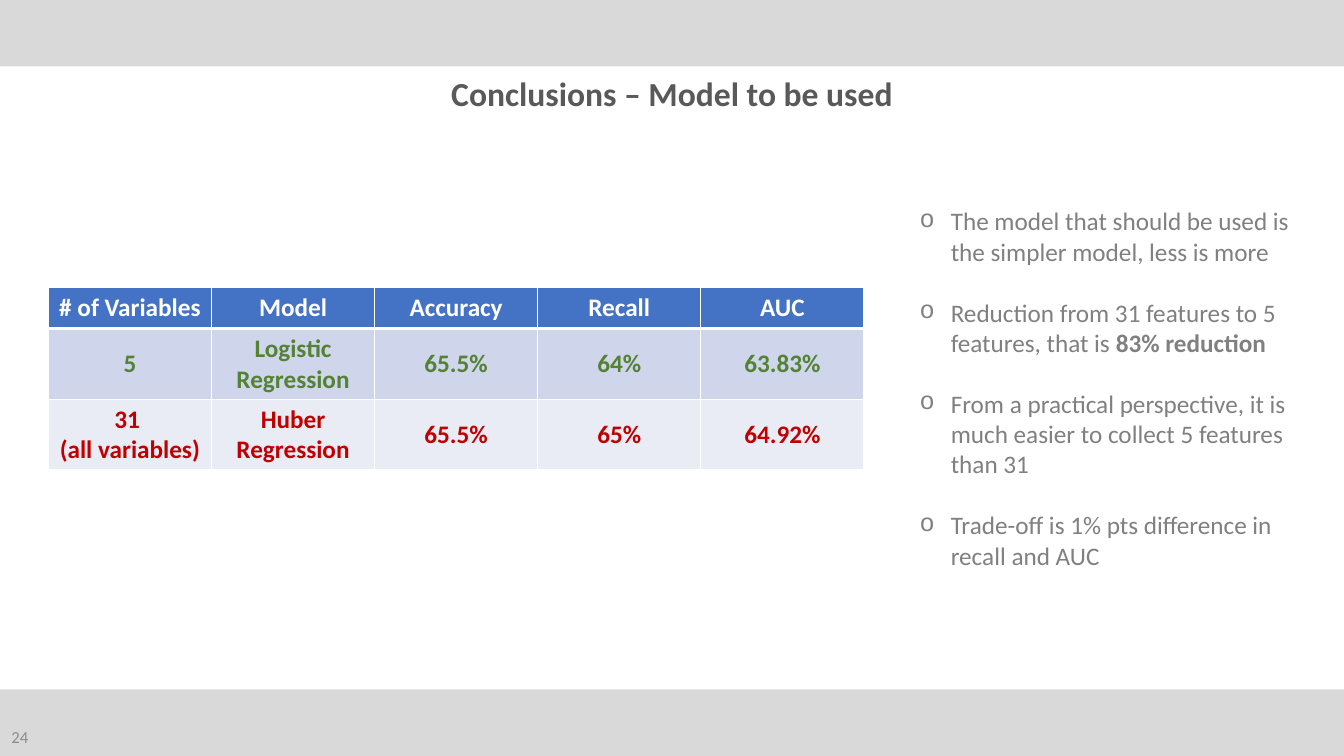
from lxml import etree
from pptx import Presentation
from pptx.dml.color import RGBColor
from pptx.enum.shapes import MSO_SHAPE
from pptx.enum.text import MSO_ANCHOR, MSO_AUTO_SIZE, PP_ALIGN
from pptx.oxml.ns import qn
from pptx.util import Inches, Pt

RECTANGLE = MSO_SHAPE.RECTANGLE
TOP, MIDDLE = MSO_ANCHOR.TOP, MSO_ANCHOR.MIDDLE
LEFT, CENTER, RIGHT = PP_ALIGN.LEFT, PP_ALIGN.CENTER, PP_ALIGN.RIGHT
NO_AUTOFIT = MSO_AUTO_SIZE.NONE

WIDTH, HEIGHT, BAND_HEIGHT = 13.33, 7.5, 0.66
FONT = "Calibri"
WHITE = "FFFFFF"

# Each row: text colour, fill, height, bottom border in points, cells
RESULTS = [
    (WHITE, "4472C4", 0.41, 3,
     ["# of Variables", "Model", "Accuracy", "Recall", "AUC"]),
    ("548235", "CFD5EA", 0.7, 1,
     ["5", "Logistic Regression", "65.5%", "64%", "63.83%"]),
    ("C00000", "E9EBF5", 0.7, 1,
     ["31 \n(all variables)", "Huber Regression", "65.5%", "65%", "64.92%"]),
]

# Each point: plain text, bold ending
POINTS = [
    ("The model that should be used is the simpler model, less is more", ""),
    ("Reduction from 31 features to 5 features, that is ", "83% reduction"),
    ("From a practical perspective, it is much easier to collect 5 features than 31", ""),
    ("Trade-off is 1% pts difference in recall and AUC", ""),
]


def color(hex_string):
    return RGBColor.from_string(hex_string)


def place(shape, box):
    shape.left, shape.top, shape.width, shape.height = map(Inches, box)


def format_paragraph(paragraph, size, hex_string, align, bold=False):
    paragraph.alignment = align
    font = paragraph.font
    font.name, font.size, font.bold = FONT, Pt(size), bold
    font.color.rgb = color(hex_string)


def add_band(slide, box):
    band = slide.shapes.add_shape(RECTANGLE, *map(Inches, box))
    band.shadow.inherit = False
    band.fill.solid()
    band.fill.fore_color.rgb = color("D9D9D9")
    band.line.fill.background()


def set_title(slide, box):
    title = slide.shapes.title
    place(title, box)
    frame = title.text_frame
    frame.text = "Conclusions – Model to be used"
    frame.vertical_anchor = TOP
    frame.auto_size = NO_AUTOFIT
    format_paragraph(frame.paragraphs[0], 24, "595959", CENTER, True)


def add_page_number(slide, box):
    frame = slide.shapes.add_textbox(*map(Inches, box)).text_frame
    frame.word_wrap = True
    frame.vertical_anchor = MIDDLE
    frame.text = "24"
    format_paragraph(frame.paragraphs[0], 12, "8C8C8C", RIGHT)


def set_borders(cell, bottom_width):
    properties = cell._tc.get_or_add_tcPr()
    for side, width in (("L", 1), ("R", 1), ("T", 1), ("B", bottom_width)):
        line = etree.SubElement(properties, qn("a:ln" + side), w=str(Pt(width)))
        fill = etree.SubElement(line, qn("a:solidFill"))
        etree.SubElement(fill, qn("a:srgbClr"), val=WHITE)


def add_results_table(slide, box):
    column_count = len(RESULTS[0][-1])
    table = slide.shapes.add_table(
        len(RESULTS), column_count, *map(Inches, box)).table
    for column in table.columns:
        column.width = Inches(box[2] / column_count)
    for row, (text_color, fill, height, bottom, texts) in zip(table.rows, RESULTS):
        row.height = Inches(height)
        for cell, text in zip(row.cells, texts):
            set_borders(cell, bottom)
            cell.fill.solid()
            cell.fill.fore_color.rgb = color(fill)
            cell.vertical_anchor = MIDDLE
            cell.text = text
            for paragraph in cell.text_frame.paragraphs:
                format_paragraph(paragraph, 18, text_color, CENTER, True)


def set_bullet(paragraph):
    properties = paragraph._p.get_or_add_pPr()
    properties.set("marL", str(Inches(0.31)))
    properties.set("indent", str(Inches(-0.31)))
    etree.SubElement(properties, qn("a:buFont"), typeface="Courier New")
    etree.SubElement(properties, qn("a:buChar"), char="o")


def set_points(slide, box):
    body = slide.placeholders[1]
    place(body, box)
    frame = body.text_frame
    frame.vertical_anchor = TOP
    frame.auto_size = NO_AUTOFIT
    frame.text = "\n".join(plain for plain, _ in POINTS)
    for paragraph, (_, ending) in zip(frame.paragraphs, POINTS):
        set_bullet(paragraph)
        format_paragraph(paragraph, 18, "808080", LEFT)
        paragraph.space_before = Pt(0)
        paragraph.space_after = Pt(22)
        if ending:
            run = paragraph.add_run()
            run.text = ending
            run.font.bold = True


def build_conclusions(presentation):
    slide = presentation.slides.add_slide(presentation.slide_layouts[1])
    # Grey bands at the foot and the head
    for top in (HEIGHT - BAND_HEIGHT, 0):
        add_band(slide, (0, top, WIDTH, BAND_HEIGHT))
    # Title and page number
    set_title(slide, (1.98, 0.67, 9.37, 0.5))
    add_page_number(slide, (0, 7.11, 0.38, 0.4))
    # Model comparison and conclusions
    add_results_table(slide, (0.48, 2.85, 8.09, 1.81))
    set_points(slide, (9.02, 1.99, 4.02, 4.04))


def main():
    presentation = Presentation()
    presentation.slide_width = Inches(WIDTH)
    presentation.slide_height = Inches(HEIGHT)
    build_conclusions(presentation)
    presentation.save("out.pptx")


if __name__ == "__main__":
    main()
